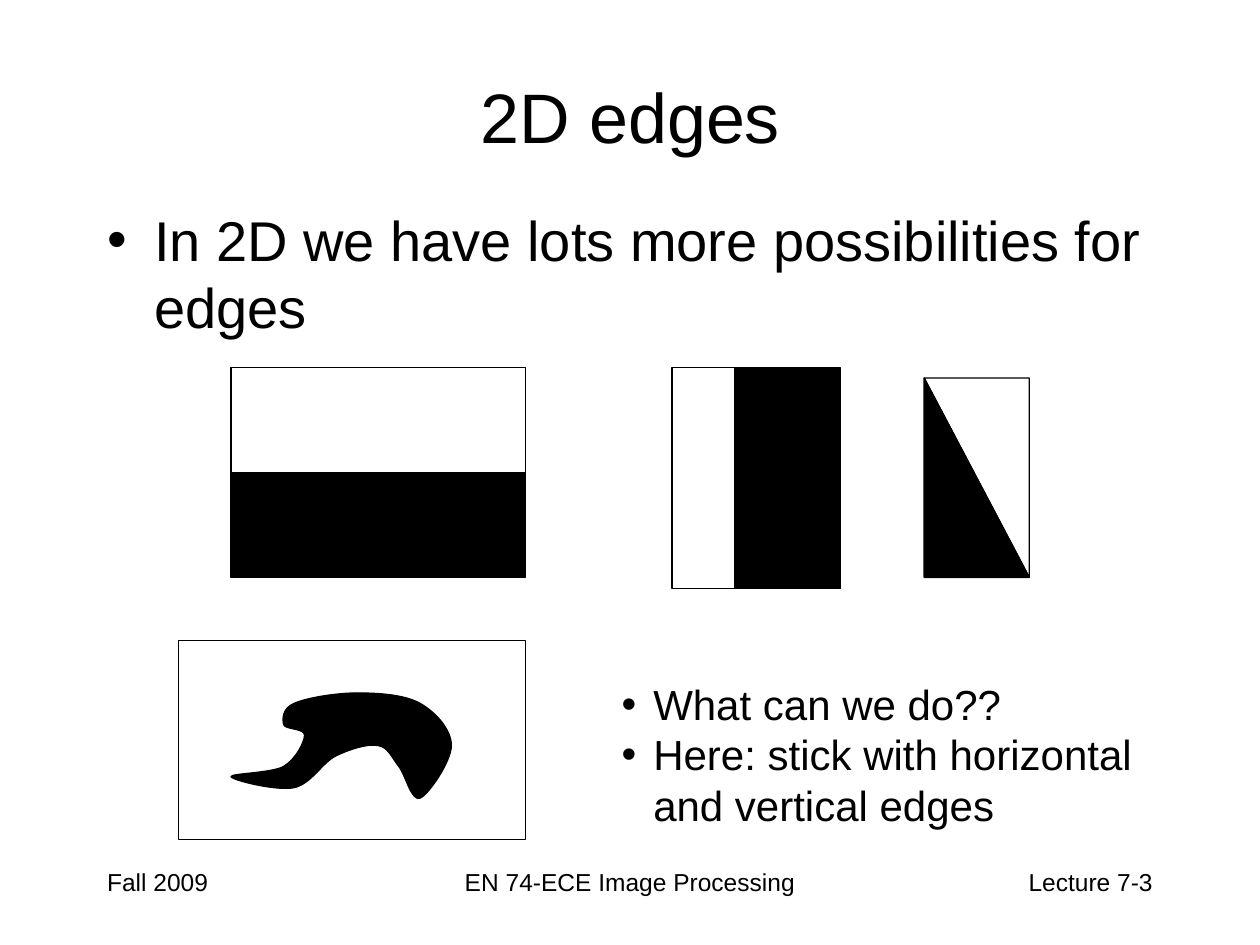
import pptx
import pptx.dml.color
import pptx.enum.shapes
import pptx.enum.text
import pptx.oxml.ns
import pptx.util
from lxml import etree

Cm = pptx.util.Cm
Pt = pptx.util.Pt
qn = pptx.oxml.ns.qn
color = pptx.dml.color.RGBColor.from_string
ALIGN = pptx.enum.text.PP_ALIGN
ANCHOR = pptx.enum.text.MSO_ANCHOR
RECTANGLE = pptx.enum.shapes.MSO_SHAPE.RECTANGLE
BLACK = "000000"


def paint(shape, filled):
    shape.shadow.inherit = False
    if filled:
        shape.fill.solid()
        shape.fill.fore_color.rgb = color(BLACK)
    else:
        shape.fill.background()
    shape.line.color.rgb = color(BLACK)
    shape.line.width = Pt(0.75)


def write(box, lines, size, align=ALIGN.LEFT, anchor=ANCHOR.TOP, indent=None):
    frame = box.text_frame
    frame.word_wrap = True
    frame.vertical_anchor = anchor
    for number, line in enumerate(lines):
        para = frame.add_paragraph() if number else frame.paragraphs[0]
        para.alignment = align
        if indent:
            props = para._p.get_or_add_pPr()
            props.set("marL", str(indent))
            props.set("indent", str(-indent))
            tint = etree.SubElement(props, qn("a:buClr"))
            etree.SubElement(tint, qn("a:srgbClr"), val=BLACK)
            etree.SubElement(props, qn("a:buFont"), typeface="Arial")
            etree.SubElement(props, qn("a:buChar"), char="•")
        span = para.add_run()
        span.text = line
        span.font.name = "Arial"
        span.font.size = Pt(size)
        span.font.color.rgb = color(BLACK)


deck = pptx.Presentation()
deck.slide_width, deck.slide_height = Cm(25.4), Cm(19.05)
page = deck.slides.add_slide(deck.slide_layouts[5])

# Footer
for text, left, width, align in [
    ("Fall 2009", 1.91, 5.29, ALIGN.LEFT),
    ("EN 74-ECE Image Processing", 8.68, 8.04, ALIGN.CENTER),
    ("Lecture 7-3", 18.2, 5.29, ALIGN.RIGHT),
]:
    box = page.shapes.add_textbox(Cm(left), Cm(17.36), Cm(width), Cm(1.27))
    write(box, [text], 14, align)

# Title
title = page.shapes.title
title.left, title.top = Cm(1.91), Cm(1.27)
title.width, title.height = Cm(21.59), Cm(2.12)
write(title, ["2D edges"], 40, ALIGN.CENTER, ANCHOR.MIDDLE)

# Main statement
body = page.shapes.add_textbox(Cm(1.91), Cm(4.02), Cm(21.59), Cm(12.91))
write(body, ["In 2D we have lots more possibilities for edges"], 32, indent=Cm(0.95))

# Horizontal edge, vertical edge, and the frame of the curved edge
horizontal, vertical, diagonal, curved = [
    page.shapes.add_group_shape() for _ in range(4)
]
for group, left, top, width, height, filled in [
    (horizontal, 4.66, 7.41, 5.93, 2.12, False),
    (horizontal, 4.66, 9.53, 5.93, 2.12, True),
    (vertical, 13.55, 7.41, 1.27, 4.45, False),
    (vertical, 14.82, 7.41, 2.12, 4.45, True),
    (curved, 3.6, 12.91, 6.99, 4.02, False),
]:
    paint(group.shapes.add_shape(RECTANGLE, Cm(left), Cm(top), Cm(width), Cm(height)), filled)

# Diagonal edge from two triangles, and the curved shape:
# a start point, then two controls and an end for each curve
left, right, top, bottom = 18.63, 20.75, 7.62, 11.64
blob = [
    (5.72, 14.61),
    (5.69, 14.5), (5.69, 14.28), (5.93, 14.18),
    (6.17, 14.07), (6.77, 13.97), (7.2, 13.97),
    (7.62, 13.97), (8.15, 14), (8.47, 14.18),
    (8.79, 14.36), (9.1, 14.71), (9.1, 15.03),
    (9.1, 15.35), (8.64, 16.02), (8.47, 16.09),
    (8.29, 16.16), (8.18, 15.63), (8.04, 15.45),
    (7.9, 15.28), (7.83, 15.06), (7.62, 15.03),
    (7.41, 14.99), (7.06, 15.1), (6.77, 15.24),
    (6.49, 15.38), (6.28, 15.8), (5.93, 15.88),
    (5.57, 15.95), (4.69, 15.73), (4.66, 15.66),
    (4.62, 15.59), (5.47, 15.59), (5.72, 15.45),
    (5.96, 15.31), (6.14, 14.96), (6.14, 14.82),
    (6.14, 14.68), (5.75, 14.71), (5.72, 14.61),
]
for group, points, filled in [
    (diagonal, [(left, top), (left, bottom), (right, bottom)], True),
    (diagonal, [(left, top), (right, top), (right, bottom)], False),
    (curved, blob, True),
]:
    corners = [(Cm(x), Cm(y)) for x, y in points]
    builder = group.shapes.build_freeform(*corners[0])
    builder.add_line_segments(corners[1:], close=True)
    outline = builder.convert_to_shape()
    paint(outline, filled)

# Join each three points of the last outline into one curve
segments = list(outline._element.iter(qn("a:lnTo")))
for start in range(0, len(blob) - 1, 3):
    curve = etree.Element(qn("a:cubicBezTo"))
    segments[start].addprevious(curve)
    for segment in segments[start:start + 3]:
        curve.append(segment[0])
        segment.getparent().remove(segment)

# Closing question
question = page.shapes.add_textbox(Cm(12.28), Cm(13.55), Cm(12.28), Cm(3.3))
write(
    question,
    ["What can we do??", "Here: stick with horizontal and vertical edges"],
    24,
    indent=Cm(0.64),
)
question.text_frame.auto_size = pptx.enum.text.MSO_AUTO_SIZE.SHAPE_TO_FIT_TEXT

deck.save("out.pptx")
